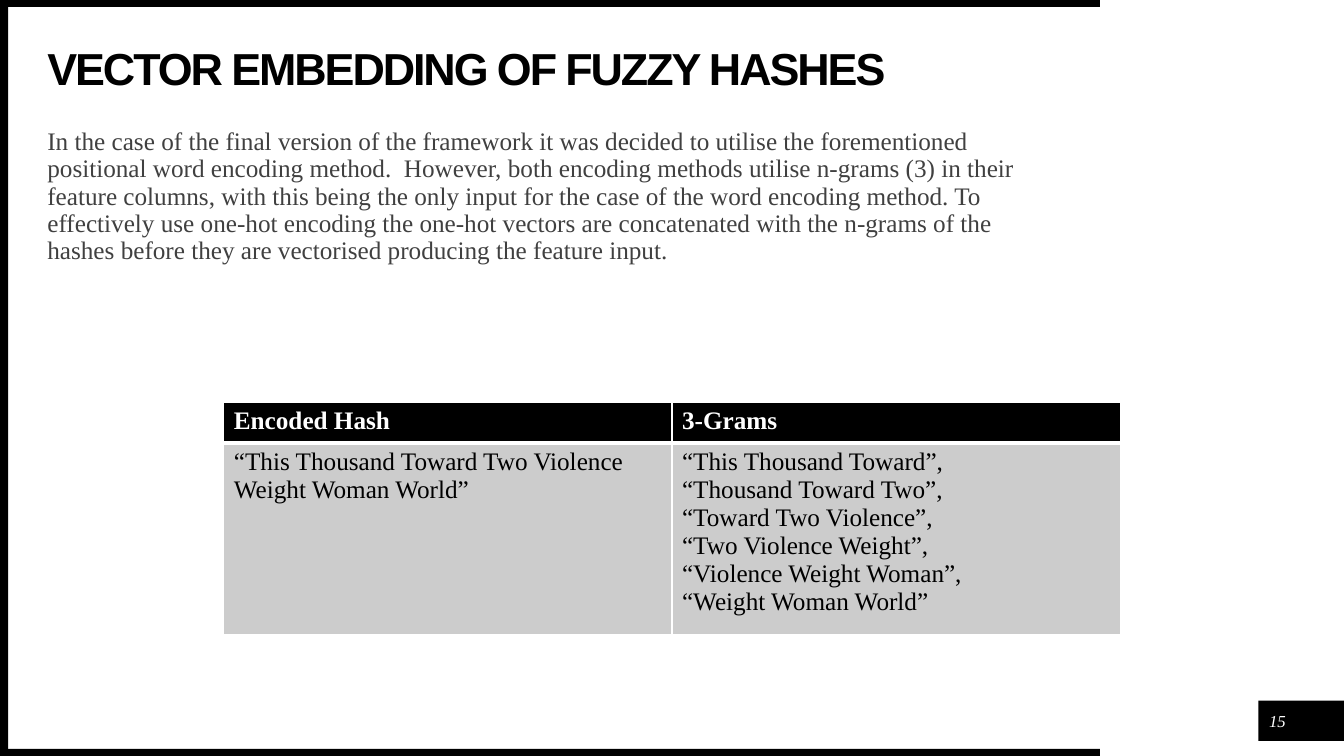
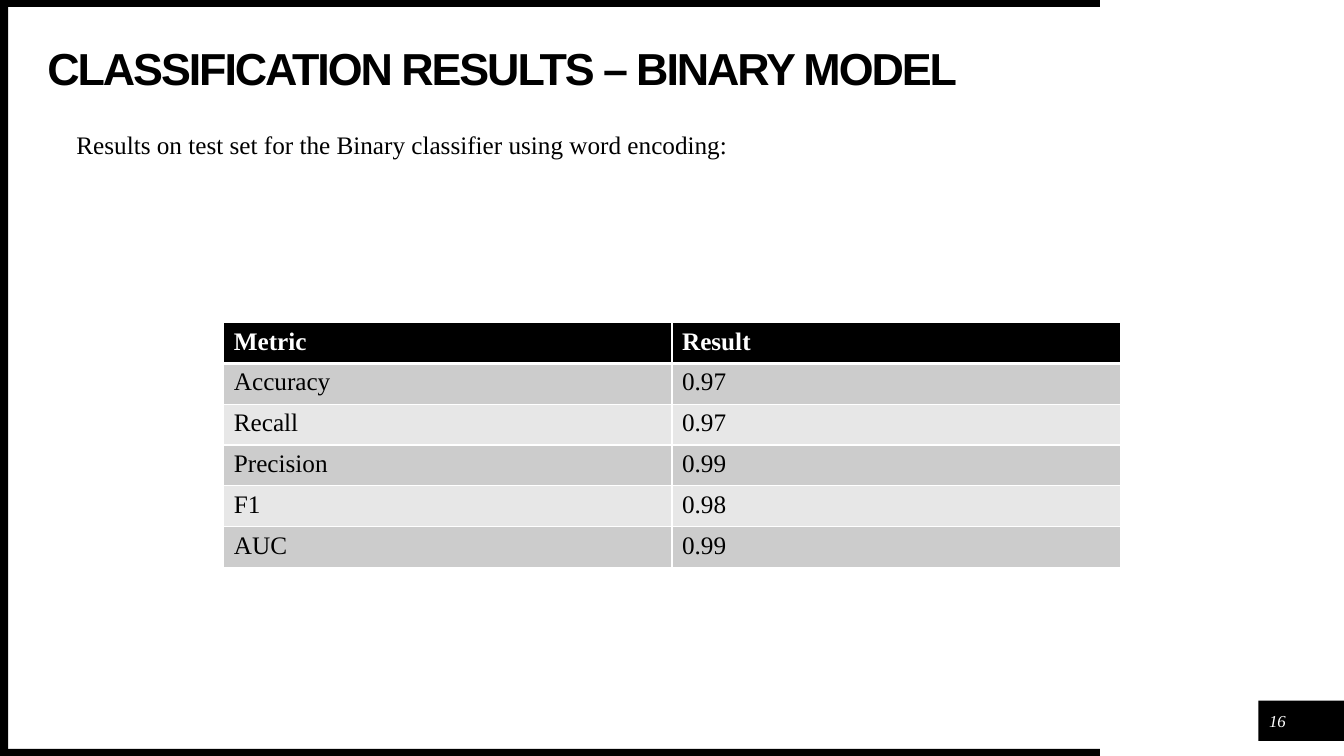
from dataclasses import dataclass

from lxml.etree import SubElement
from pptx import Presentation
from pptx.dml.color import RGBColor
from pptx.enum.shapes import MSO_SHAPE
from pptx.enum.text import MSO_ANCHOR, PP_ALIGN
from pptx.oxml.ns import qn
from pptx.slide import Slide
from pptx.table import _Cell
from pptx.text.text import TextFrame
from pptx.util import Inches, Pt

BLACK = RGBColor(0x00, 0x00, 0x00)
WHITE = RGBColor(0xFF, 0xFF, 0xFF)
BODY_GREY = RGBColor(0x40, 0x40, 0x40)
ROW_DARK = RGBColor(0xCC, 0xCC, 0xCC)
ROW_LIGHT = RGBColor(0xE7, 0xE7, 0xE7)

TITLE_FONT = "Arial"
BODY_FONT = "Times New Roman"

MARGIN = 0.47
CONTENT_WIDTH = 10.06
TABLE_LEFT = 2.22
COLUMN_WIDTH = 4.445
ROW_HEIGHT = 0.405


@dataclass(frozen=True)
class Box:
    left: float
    top: float
    width: float
    height: float

    def lengths(self) -> tuple[Inches, Inches, Inches, Inches]:
        return Inches(self.left), Inches(self.top), Inches(self.width), Inches(self.height)


@dataclass(frozen=True)
class TextStyle:
    size: int
    color: RGBColor
    font: str = BODY_FONT
    bold: bool = False
    italic: bool = False
    align: PP_ALIGN = PP_ALIGN.LEFT
    line_spacing: float = 1.0
    space_before: int = 0
    tracking: float = 0


TITLE = TextStyle(32, BLACK, TITLE_FONT, bold=True, line_spacing=0.9, tracking=-1.5)
BODY = TextStyle(18, BODY_GREY, line_spacing=0.9, space_before=10)
CAPTION = TextStyle(18, BLACK)
TABLE_HEADER = TextStyle(18, WHITE, bold=True)
PAGE_NUMBER = TextStyle(12, WHITE, italic=True, align=PP_ALIGN.CENTER)

FRAME_BANDS = (
    Box(12.48, 6.95, 0.86, 0.4),
    Box(0, 7.43, 10.91, 0.07),
    Box(0, 0, 10.91, 0.07),
    Box(0, 0, 0.08, 7.5),
)


def write_lines(frame: TextFrame, text: str, style: TextStyle) -> None:
    """Fill the frame with one styled paragraph per line of text."""
    frame.text = text
    for paragraph in frame.paragraphs:
        paragraph.alignment = style.align
        paragraph.line_spacing = style.line_spacing
        paragraph.space_before = Pt(style.space_before)
        paragraph.font.name = style.font
        paragraph.font.size = Pt(style.size)
        paragraph.font.bold = style.bold
        paragraph.font.italic = style.italic
        paragraph.font.color.rgb = style.color
        if style.tracking:
            for run in paragraph.runs:
                run._r.get_or_add_rPr().set("spc", str(round(style.tracking * 100)))


def add_text(slide: Slide, box: Box, text: str, style: TextStyle,
             anchor: MSO_ANCHOR = MSO_ANCHOR.TOP, inset: bool = False) -> None:
    frame = slide.shapes.add_textbox(*box.lengths()).text_frame
    frame.word_wrap = True
    frame.vertical_anchor = anchor
    if not inset:
        frame.margin_left = frame.margin_right = 0
        frame.margin_top = frame.margin_bottom = 0
    write_lines(frame, text, style)


def set_borders(cell: _Cell, bottom_width: int) -> None:
    """Draw white 1 pt borders, with the given width at the bottom."""
    properties = cell._tc.get_or_add_tcPr()
    for side in ("lnL", "lnR", "lnT", "lnB"):
        width = bottom_width if side == "lnB" else 1
        line = SubElement(properties, qn(f"a:{side}"), w=str(Pt(width)))
        fill = SubElement(line, qn("a:solidFill"))
        SubElement(fill, qn("a:srgbClr"), val=str(WHITE))


def add_banded_table(slide: Slide, top: float, rows: list[tuple[str, str]],
                     row_heights: list[float]) -> None:
    box = Box(TABLE_LEFT, top, 2 * COLUMN_WIDTH, sum(row_heights))
    table = slide.shapes.add_table(len(rows), 2, *box.lengths()).table
    for column in table.columns:
        column.width = Inches(COLUMN_WIDTH)
    for row_index, (texts, height) in enumerate(zip(rows, row_heights)):
        is_header = row_index == 0
        band = BLACK if is_header else ROW_DARK if row_index % 2 else ROW_LIGHT
        table.rows[row_index].height = Inches(height)
        for cell, text in zip(table.rows[row_index].cells, texts):
            write_lines(cell.text_frame, text, TABLE_HEADER if is_header else CAPTION)
            set_borders(cell, bottom_width=3 if is_header else 1)
            cell.fill.solid()
            cell.fill.fore_color.rgb = band


def add_framed_slide(presentation: Presentation, title: str, number: int) -> Slide:
    """Add a slide with the black bands, title and page number."""
    slide = presentation.slides.add_slide(presentation.slide_layouts[6])
    for box in FRAME_BANDS:
        band = slide.shapes.add_shape(MSO_SHAPE.RECTANGLE, *box.lengths())
        band.shadow.inherit = False
        band.fill.solid()
        band.fill.fore_color.rgb = BLACK
        band.line.fill.background()
    add_text(slide, Box(MARGIN, 0.47, CONTENT_WIDTH, 0.47), title, TITLE, MSO_ANCHOR.MIDDLE)
    add_text(slide, Box(12.52, 7, 0.3, 0.3), str(number), PAGE_NUMBER, MSO_ANCHOR.MIDDLE)
    return slide


def add_embedding_slide(presentation: Presentation) -> None:
    slide = add_framed_slide(presentation, "VECTOR EMBEDDING OF FUZZY HASHES", 15)
    explanation = (
        "In the case of the final version of the framework it was decided to utilise the "
        "forementioned positional word encoding method.  However, both encoding methods "
        "utilise n-grams (3) in their feature columns, with this being the only input for "
        "the case of the word encoding method. To effectively use one-hot encoding the "
        "one-hot vectors are concatenated with the n-grams of the hashes before they are "
        "vectorised producing the feature input."
    )
    add_text(slide, Box(MARGIN, 1.28, CONTENT_WIDTH, 4.13), explanation, BODY)
    words = "This Thousand Toward Two Violence Weight Woman World".split()
    grams = [" ".join(words[start:start + 3]) for start in range(len(words) - 2)]
    rows = [
        ("Encoded Hash", "3-Grams"),
        (f"“{' '.join(words)}”", ",\n".join(f"“{gram}”" for gram in grams)),
    ]
    add_banded_table(slide, 3.99, rows, [ROW_HEIGHT, 1.75])


def add_results_slide(presentation: Presentation) -> None:
    slide = add_framed_slide(presentation, "CLASSIFICATION RESULTS – BINARY MODEL", 16)
    rows = [
        ("Metric", "Result"),
        ("Accuracy", "0.97"),
        ("Recall", "0.97"),
        ("Precision", "0.99"),
        ("F1", "0.98"),
        ("AUC", "0.99"),
    ]
    add_banded_table(slide, 3.2, rows, [ROW_HEIGHT] * len(rows))
    add_text(slide, Box(0.66, 1.23, 10.45, 0.4),
             "Results on test set for the Binary classifier using word encoding:",
             CAPTION, inset=True)


def main() -> None:
    presentation = Presentation()
    presentation.slide_width = Inches(13.33)
    presentation.slide_height = Inches(7.5)
    add_embedding_slide(presentation)
    add_results_slide(presentation)
    presentation.save("out.pptx")


if __name__ == "__main__":
    main()
